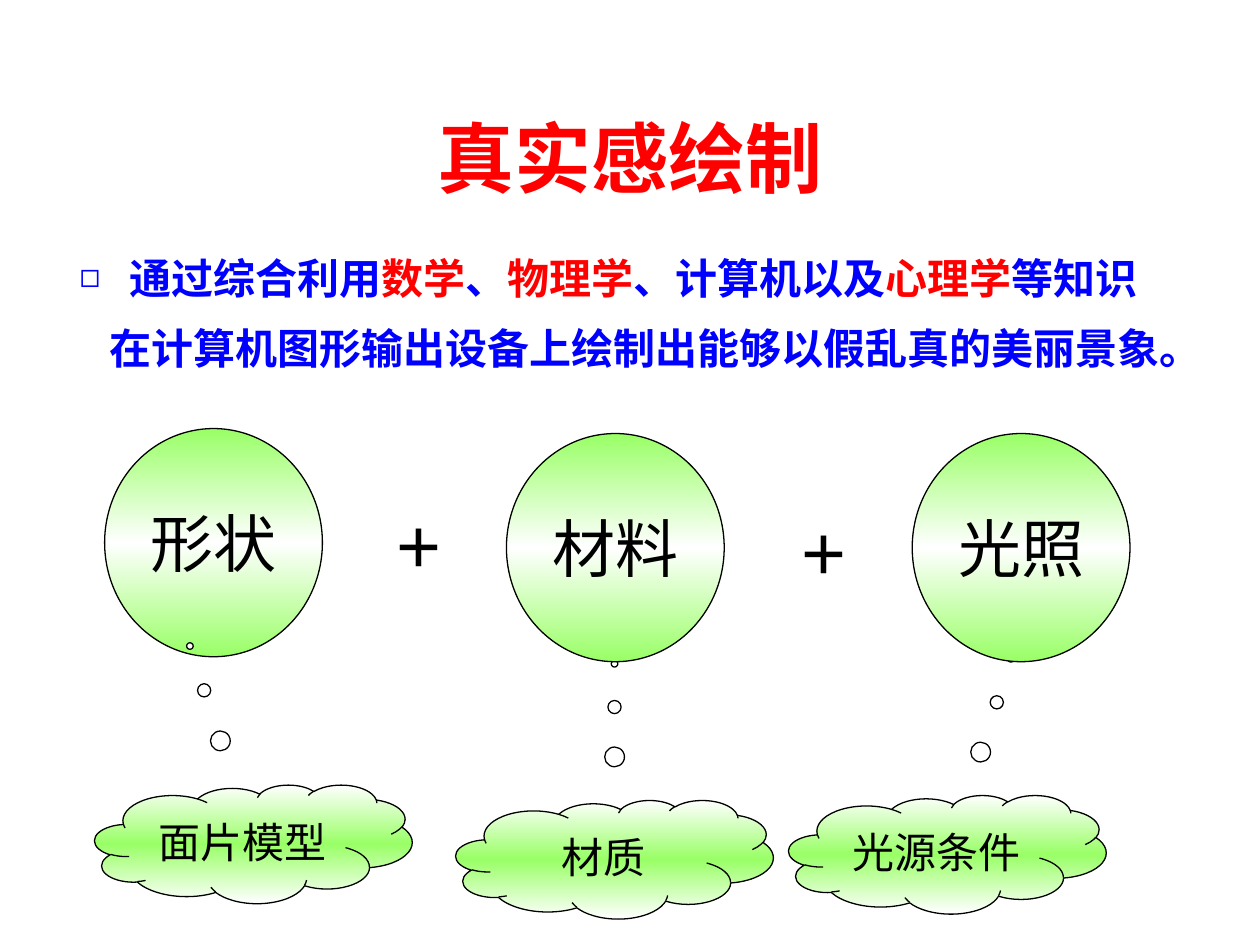
from copy import deepcopy
from dataclasses import dataclass

from lxml import etree
from pptx import Presentation
from pptx import util as u
from pptx.dml.color import RGBColor
from pptx.enum import shapes, text
from pptx.oxml.ns import qn

RED = RGBColor(0xFF, 0x00, 0x00)
BLUE = RGBColor(0x00, 0x00, 0xFF)
BLACK = RGBColor(0x00, 0x00, 0x00)
WHITE = RGBColor(0xFF, 0xFF, 0xFF)
GREEN = RGBColor(0x99, 0xFF, 0x66)

CIRCLE_SIZE = (4.39, 4.6)
CLOUD_SIZE = (6.4, 2.39)
PLUS_SIZE = (1.4, 2.13)


@dataclass(frozen=True)
class Circle:
    label: str
    left: float
    top: float


@dataclass(frozen=True)
class Plus:
    left: float
    top: float


@dataclass(frozen=True)
class Cloud:
    label: str
    left: float
    top: float
    tail: tuple[float, float]


FIRST_CIRCLE = Circle("形状", 2.11, 8.64)
ADDED_TERMS = [
    (Circle("材料", 10.21, 8.74), Plus(7.75, 9.88)),
    (Circle("光照", 18.39, 8.74), Plus(15.9, 10.03)),
]
CLOUDS = [
    Cloud("面片模型", 1.91, 15.82, (-0.2, -1.67)),
    Cloud("光源条件", 15.9, 16.03, (0.2, -1.65)),
    Cloud("材质", 9.19, 16.13, (0, -1.65)),
]
DEFINITION = [
    ("\t通过综合利用", BLUE),
    ("数学", RED),
    ("、", BLUE),
    ("物理学", RED),
    ("、计算机以及", BLUE),
    ("心理学", RED),
    ("等知识在计算机图形输出设备上绘制出能够以假乱真的美丽景象。", BLUE),
]


def place(shape, left: float, top: float, width: float, height: float) -> None:
    shape.left, shape.top = u.Cm(left), u.Cm(top)
    shape.width, shape.height = u.Cm(width), u.Cm(height)


def add_run(paragraph, content: str, size: int, color: RGBColor,
            font: str = "Arial", bold: bool = False) -> None:
    run = paragraph.add_run()
    run.text = content
    run.font.name = font
    run.font.size = u.Pt(size)
    run.font.bold = bold
    run.font.color.rgb = color


def fill_with_band(shape, edge: RGBColor, middle: RGBColor) -> None:
    """Fill with a vertical gradient from edge to middle and back to edge."""
    shape.fill.gradient()
    shape.fill.gradient_angle = 90
    stop_list = shape._element.spPr.find(qn("a:gradFill")).find(qn("a:gsLst"))
    stop_list.append(deepcopy(stop_list[-1]))
    colors = (edge, middle, edge)
    for stop, position, color in zip(shape.fill.gradient_stops, (0, 0.5, 1), colors):
        stop.position = position
        stop.color.rgb = color


def add_outlined_shape(parent, kind, left: float, top: float,
                       size: tuple[float, float], edge: RGBColor, middle: RGBColor):
    shape = parent.add_shape(kind, u.Cm(left), u.Cm(top), *map(u.Cm, size))
    shape.shadow.inherit = False
    shape.line.color.rgb = BLACK
    shape.line.width = u.Pt(0.75)
    fill_with_band(shape, edge, middle)
    shape.text_frame.paragraphs[0].alignment = text.PP_ALIGN.CENTER
    return shape


def add_circle(parent, circle: Circle) -> None:
    shape = add_outlined_shape(parent, shapes.MSO_SHAPE.OVAL, circle.left, circle.top,
                               CIRCLE_SIZE, GREEN, WHITE)
    frame = shape.text_frame
    frame.word_wrap = False
    frame.vertical_anchor = text.MSO_ANCHOR.MIDDLE
    add_run(frame.paragraphs[0], circle.label, 36, BLACK)


def add_cloud(parent, cloud: Cloud) -> None:
    shape = add_outlined_shape(parent, shapes.MSO_SHAPE.CLOUD_CALLOUT, cloud.left,
                               cloud.top, CLOUD_SIZE, WHITE, GREEN)
    shape.adjustments[0], shape.adjustments[1] = cloud.tail
    frame = shape.text_frame
    frame.word_wrap = True
    frame.vertical_anchor = text.MSO_ANCHOR.TOP
    frame.paragraphs[0].line_spacing = 1.15
    add_run(frame.paragraphs[0], cloud.label, 24, BLACK)


def add_plus(parent, plus: Plus) -> None:
    box = parent.add_textbox(u.Cm(plus.left), u.Cm(plus.top), *map(u.Cm, PLUS_SIZE))
    box.text_frame.word_wrap = False
    box.text_frame.auto_size = text.MSO_AUTO_SIZE.SHAPE_TO_FIT_TEXT
    add_run(box.text_frame.paragraphs[0], "+", 44, BLACK)


def add_square_bullet(paragraph) -> None:
    """Give a hanging square bullet, with a tab stop for the first line."""
    properties = paragraph._p.get_or_add_pPr()
    properties.set("marL", str(u.Cm(0.6)))
    properties.set("indent", str(-u.Cm(0.6)))
    bullet_color = etree.SubElement(properties, qn("a:buClr"))
    etree.SubElement(bullet_color, qn("a:srgbClr"), val=str(BLUE))
    etree.SubElement(properties, qn("a:buSzPct"), val="80000")
    etree.SubElement(properties, qn("a:buChar"), char="◻")
    tabs = etree.SubElement(properties, qn("a:tabLst"))
    etree.SubElement(tabs, qn("a:tab"), pos=str(u.Cm(1)), algn="l")


def write_title(title) -> None:
    place(title, 1.27, 2.01, 22.86, 2.31)
    frame = title.text_frame
    frame.auto_size = text.MSO_AUTO_SIZE.NONE
    frame.vertical_anchor = text.MSO_ANCHOR.MIDDLE
    frame.paragraphs[0].alignment = text.PP_ALIGN.CENTER
    add_run(frame.paragraphs[0], "真实感绘制", 44, RED, bold=True)


def write_definition(body) -> None:
    place(body, 1.35, 4.55, 22.45, 3.1)
    frame = body.text_frame
    frame.word_wrap = True
    frame.auto_size = text.MSO_AUTO_SIZE.SHAPE_TO_FIT_TEXT
    paragraph = frame.paragraphs[0]
    add_square_bullet(paragraph)
    paragraph.line_spacing = 1.4
    paragraph.space_before = u.Pt(0)
    for content, color in DEFINITION:
        add_run(paragraph, content, 24, color, "Times New Roman", bold=True)


def main() -> None:
    presentation = Presentation()
    presentation.slide_width, presentation.slide_height = u.Cm(25.4), u.Cm(19.05)
    slide = presentation.slides.add_slide(presentation.slide_layouts[1])
    write_title(slide.shapes.title)
    write_definition(slide.placeholders[1])
    add_circle(slide.shapes, FIRST_CIRCLE)
    for cloud in CLOUDS:
        add_cloud(slide.shapes, cloud)
    for circle, plus in ADDED_TERMS:
        group = slide.shapes.add_group_shape()
        add_circle(group.shapes, circle)
        add_plus(group.shapes, plus)
    presentation.save("out.pptx")


if __name__ == "__main__":
    main()
